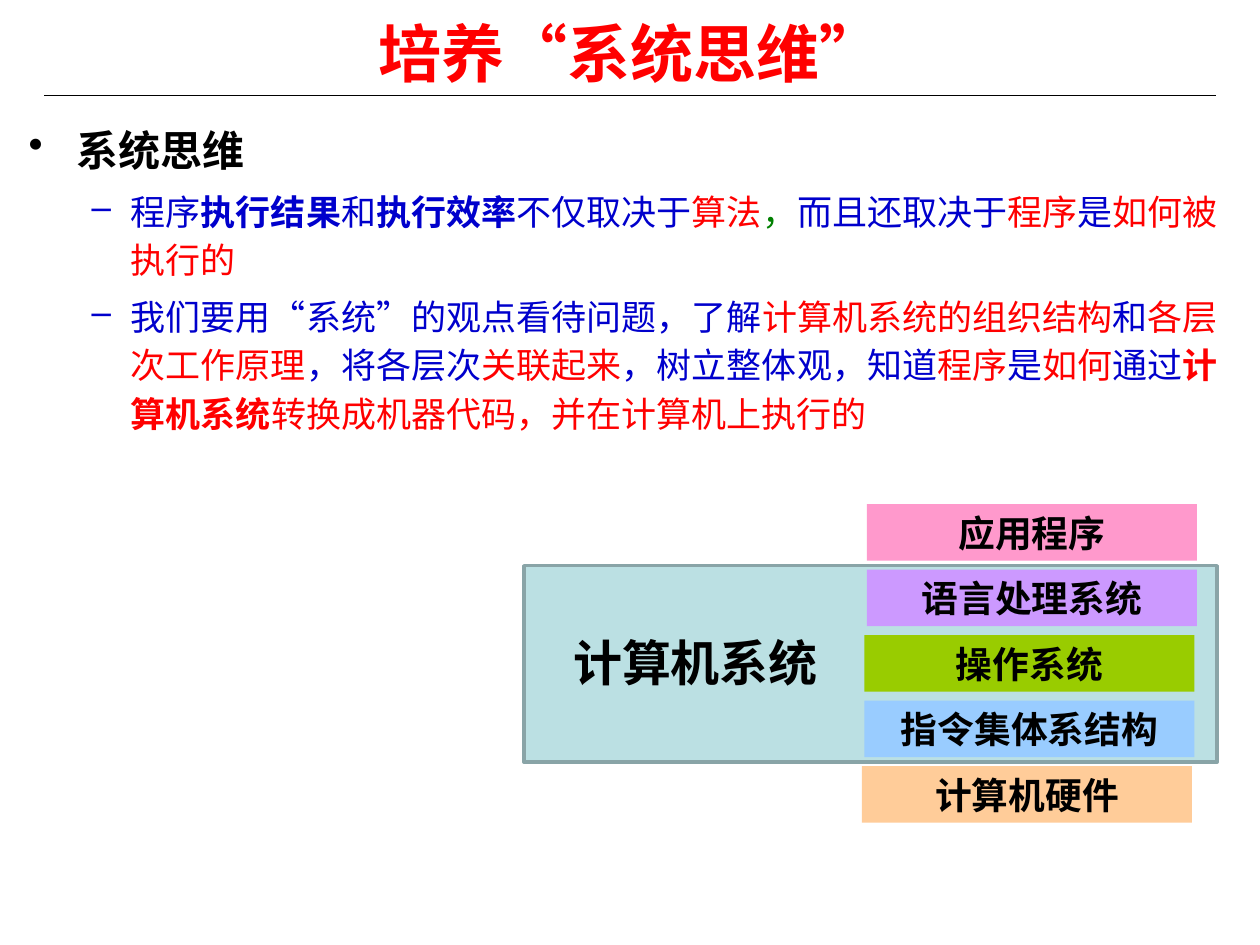
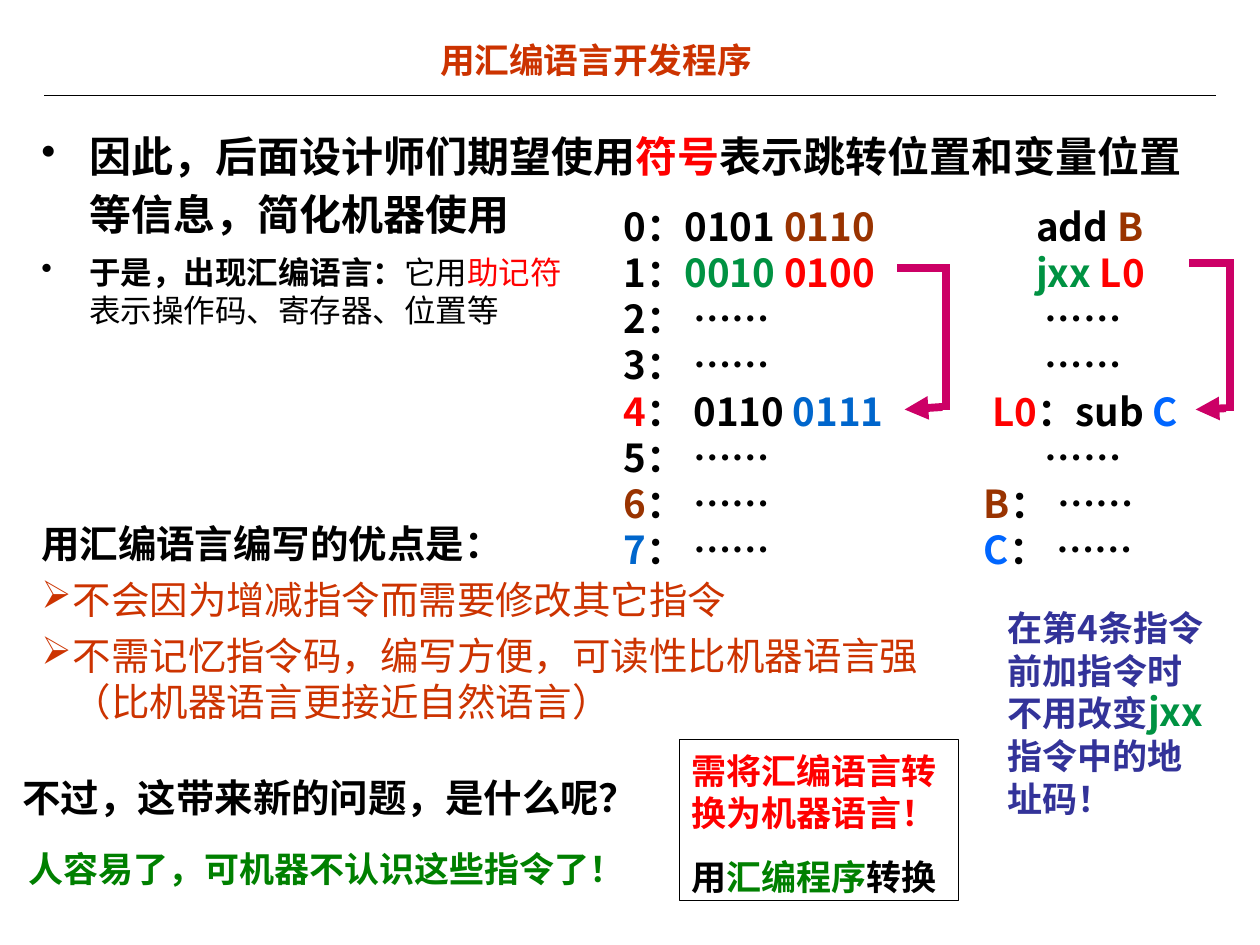
from dataclasses import dataclass
from typing import NamedTuple, Optional, Union

from lxml import etree
from pptx import Presentation
from pptx import util as u
from pptx.dml import color as dml
from pptx.enum import shapes, text
from pptx.oxml import ns

PX = 9144
ARIAL, NOTO = "Arial", "Noto Sans CJK SC"
BLACK, RED, BLUE, GREEN = "000000", "FF0000", "0000CC", "008000"
BROWN, RUST, NAVY, JADE = "993300", "CC3300", "333399", "009242"
SEA, AZURE, MAGENTA = "0066CC", "0066FF", "CC0066"
LEFT, CENTER = text.PP_ALIGN.LEFT, text.PP_ALIGN.CENTER
TOP, MIDDLE = text.MSO_ANCHOR.TOP, text.MSO_ANCHOR.MIDDLE


class Box(NamedTuple):
    x: int
    y: int
    w: int
    h: int


class Run(NamedTuple):
    text: str
    color: Optional[str] = None
    bold: Optional[bool] = None
    size: Optional[float] = None


class Layer(NamedTuple):
    name: str
    fill: str


class Segment(NamedTuple):
    x1: int
    y1: int
    x2: int
    y2: int
    arrow: bool = False


@dataclass(frozen=True)
class Bullet:
    char: str
    left: int
    hang: int
    level: int = 0


DOT = Bullet("•", 38, 38)
DASH = Bullet("–", 81, 31, 1)
ARROW = Bullet("➢", 25, 25)

LAYERS = [
    Layer("应用程序", "FF99CC"),
    Layer("语言处理系统", "CC99FF"),
    Layer("操作系统", "99CC00"),
    Layer("指令集体系结构", "99CCFF"),
    Layer("计算机硬件", "FFCC99"),
]

JUMPS = [
    Segment(712, 213, 754, 213),
    Segment(751, 212, 751, 325),
    Segment(748, 323, 718, 325, True),
    Segment(944, 209, 979, 209),
    Segment(976, 208, 976, 326),
    Segment(973, 324, 949, 325, True),
]

MACHINE_CODE = [
    [Run("0：0101 "), Run("0110", BROWN)],
    [Run("1："), Run("0010 ", JADE), Run("0100", RED)],
    [Run("2： ……")],
    [Run("3： ……")],
    [Run("4", RED), Run("： 0110 "), Run("0111", SEA)],
    [Run("5： ……")],
    [Run("6", BROWN), Run("： ……")],
    [Run("7", SEA), Run("： ……")],
]

ASSEMBLY = [
    [Run("      add "), Run("B", BROWN)],
    [Run("      jxx ", JADE), Run("L0", RED)],
    [Run("       ……")],
    [Run("       ……")],
    [Run(" "), Run("L0", RED), Run("：sub "), Run("C", AZURE)],
    [Run("       ……")],
    [Run("B", BROWN), Run("： ……")],
    [Run("C", AZURE), Run("： ……")],
]


def px(n: int) -> u.Emu:
    return u.Emu(n * PX)


def rgb(value: str) -> dml.RGBColor:
    return dml.RGBColor.from_string(value)


def add_bullet(p, bullet: Bullet, color: str) -> None:
    p.level = bullet.level
    ppr = p._p.get_or_add_pPr()
    ppr.set("marL", str(px(bullet.left)))
    ppr.set("indent", str(-px(bullet.hang)))
    clr = etree.SubElement(ppr, ns.qn("a:buClr"))
    etree.SubElement(clr, ns.qn("a:srgbClr")).set("val", color)
    etree.SubElement(ppr, ns.qn("a:buChar")).set("char", bullet.char)


def write(tf, content: Union[str, list[Run]], *, size: float, color: str = BLACK,
          bold: bool = True, face: str = ARIAL, align=LEFT, before: float = 0,
          leading: Optional[float] = 1.2, bullet: Optional[Bullet] = None) -> None:
    p = tf.paragraphs[0]
    if p.runs:
        p = tf.add_paragraph()
    if bullet:
        add_bullet(p, bullet, color)
    p.alignment = align
    p.space_before = u.Pt(before)
    if leading:
        p.line_spacing = u.Pt(size * leading)
    for part in [Run(content)] if isinstance(content, str) else content:
        r = p.add_run()
        r.text = part.text
        r.font.size = u.Pt(part.size or size)
        r.font.bold = bold if part.bold is None else part.bold
        r.font.color.rgb = rgb(part.color or color)
        r.font.name = face
        ea = etree.SubElement(r._r.get_or_add_rPr(), ns.qn("a:ea"))
        ea.set("typeface", NOTO)


def set_frame(tf, anchor=TOP, top: int = 8, right: int = 10, wrap: bool = True):
    tf.word_wrap = wrap
    tf.auto_size = text.MSO_AUTO_SIZE.NONE
    tf.vertical_anchor = anchor
    tf.margin_left, tf.margin_right = px(10), px(right)
    tf.margin_top, tf.margin_bottom = px(top), px(5)
    return tf


def add_text(s, box: Box, **frame):
    return set_frame(s.shapes.add_textbox(*map(px, box)).text_frame, **frame)


def add_rect(s, box: Box, fill: Optional[str] = None, line: Optional[str] = None,
             width: float = 0.75):
    sp = s.shapes.add_shape(shapes.MSO_SHAPE.RECTANGLE, *map(px, box))
    sp.shadow.inherit = False
    if fill:
        sp.fill.solid()
        sp.fill.fore_color.rgb = rgb(fill)
    else:
        sp.fill.background()
    if line:
        sp.line.color.rgb = rgb(line)
        sp.line.width = u.Pt(width)
    else:
        sp.line.fill.background()
    return sp


def add_line(s, seg: Segment, color: str, width: float) -> None:
    sp = s.shapes.add_connector(shapes.MSO_CONNECTOR.STRAIGHT, *map(px, seg[:4]))
    sp.line.color.rgb = rgb(color)
    sp.line.width = u.Pt(width)
    if seg.arrow:
        tail = etree.SubElement(sp.line._get_or_add_ln(), ns.qn("a:tailEnd"))
        tail.set("type", "triangle")
    etree.SubElement(sp._element.spPr, ns.qn("a:effectLst"))


def add_slide(prs, title: str, box: Box, **style):
    s = prs.slides.add_slide(prs.slide_layouts[5])
    sp = s.shapes.title
    sp.left, sp.top, sp.width, sp.height = map(px, box)
    write(set_frame(sp.text_frame, anchor=MIDDLE, top=5), title, align=CENTER, **style)
    add_line(s, Segment(35, 76, 965, 76), BLACK, 0.75)
    return s


def add_thinking_slide(prs) -> None:
    s = add_slide(prs, "培养“系统思维”", Box(50, 11, 900, 61),
                  size=36, color=RED, face=NOTO, leading=None)

    tf = add_text(s, Box(13, 85, 987, 300))
    write(tf, "系统思维", size=24, face=NOTO, leading=1.38, bullet=DOT)
    points = [
        [Run("程序"), Run("执行结果", bold=True), Run("和"),
         Run("执行效率", bold=True), Run("不仅取决于"), Run("算法", RED),
         Run("，", GREEN), Run("而且还取决于"), Run("程序", RED), Run("是"),
         Run("如何被执行的", RED)],
        [Run("我们要用“系统”的观点看待问题，了解"),
         Run("计算机系统的组织结构", RED), Run("和"), Run("各层次工作原理", RED),
         Run("，将各层次"), Run("关联起来", RED), Run("，树立整体观，知道"),
         Run("程序", RED), Run("是"), Run("如何", RED), Run("通过"),
         Run("计算机系统", RED, True),
         Run("转换成机器代码，并在计算机上执行的", RED)],
    ]
    for point in points:
        write(tf, point, size=20, color=BLUE, bold=False, face=NOTO,
              before=5, leading=1.38, bullet=DASH)

    add_rect(s, Box(416, 449, 550, 156), "BBE0E3", "89A4A7", 2)
    for i, layer in enumerate(LAYERS):
        sp = add_rect(s, Box(688 - i // 2 * 2, 400 + i * 52, 262, 45), layer.fill)
        write(set_frame(sp.text_frame, anchor=MIDDLE, top=5), layer.name,
              size=21, align=CENTER, leading=None)
    tf = add_text(s, Box(445, 497, 214, 57), anchor=MIDDLE, top=5, wrap=False)
    write(tf, "计算机系统", size=28, align=CENTER, leading=None)


def add_assembly_slide(prs) -> None:
    s = add_slide(prs, "用汇编语言开发程序", Box(23, 25, 900, 46),
                  size=19.8, color=RUST, leading=1.16)

    tf = add_text(s, Box(23, 90, 950, 110))
    write(tf, [Run("因此，后面设计师们期望使用"), Run("符号", RED),
               Run("表示跳转位置和变量位置等信息，简化机器使用")],
          size=24, leading=1.38, bullet=DOT)
    tf = add_text(s, Box(23, 193, 443, 70))
    write(tf, [Run("于是，出现汇编语言：", bold=True), Run("它用"),
               Run("助记符", RED), Run("表示操作码、寄存器、位置等")],
          size=18, bold=False, bullet=DOT)

    listings = [(Box(485, 153, 265, 304), MACHINE_CODE),
                (Box(771, 153, 205, 304), ASSEMBLY)]
    for box, rows in listings:
        tf = add_text(s, box)
        for row in rows:
            write(tf, row, size=22, face=NOTO)
    for seg in JUMPS:
        add_line(s, seg, MAGENTA, 4.5)

    tf = add_text(s, Box(790, 473, 182, 180))
    write(tf, [Run("在第4条指令前加指令时不用改变"), Run("jxx", JADE, size=22),
               Run("指令中的地址码！")], size=20, color=NAVY, face=NOTO, leading=1.22)

    tf = add_text(s, Box(23, 405, 747, 172))
    write(tf, "用汇编语言编写的优点是：", size=22)
    for merit in ("不会因为增减指令而需要修改其它指令",
                  "不需记忆指令码，编写方便，可读性比机器语言强（比机器语言更接近自然语言）"):
        write(tf, merit, size=22, color=RUST, bold=False, before=5.5, bullet=ARROW)

    write(add_text(s, Box(8, 606, 536, 47)), "不过，这带来新的问题，是什么呢？", size=22)
    write(add_text(s, Box(13, 665, 502, 44)), "人容易了，可机器不认识这些指令了！",
          size=20, color=GREEN)

    sp = add_rect(s, Box(539, 587, 222, 128), line=BLACK)
    tf = set_frame(sp.text_frame, right=0)
    write(tf, "需将汇编语言转换为机器语言！", size=20, color=RED)
    write(tf, [Run("用"), Run("汇编程序", GREEN), Run("转换")], size=20, before=12.5)


def main() -> None:
    prs = Presentation()
    prs.slide_width, prs.slide_height = px(1000), px(750)
    add_thinking_slide(prs)
    add_assembly_slide(prs)
    prs.save("out.pptx")


if __name__ == "__main__":
    main()
